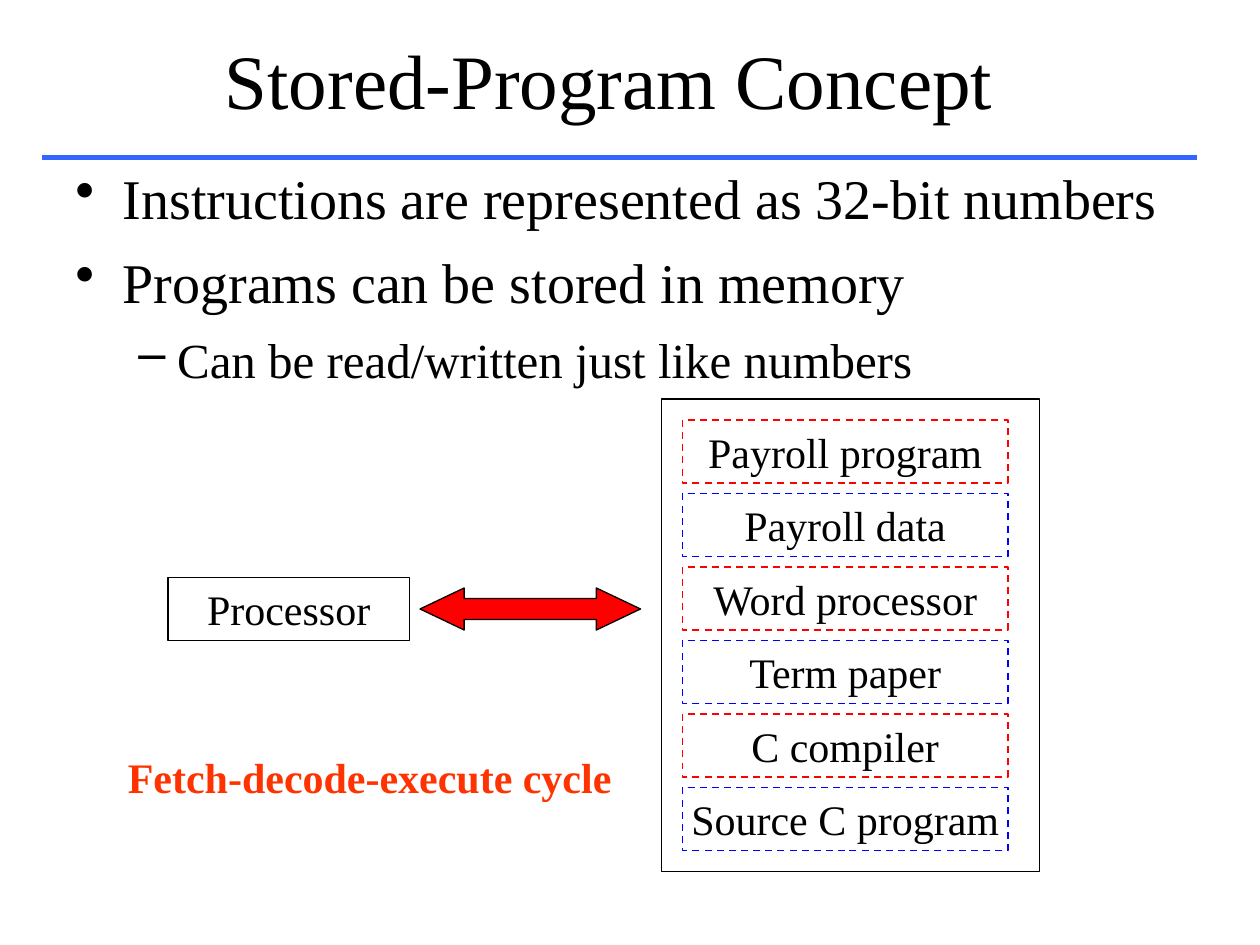
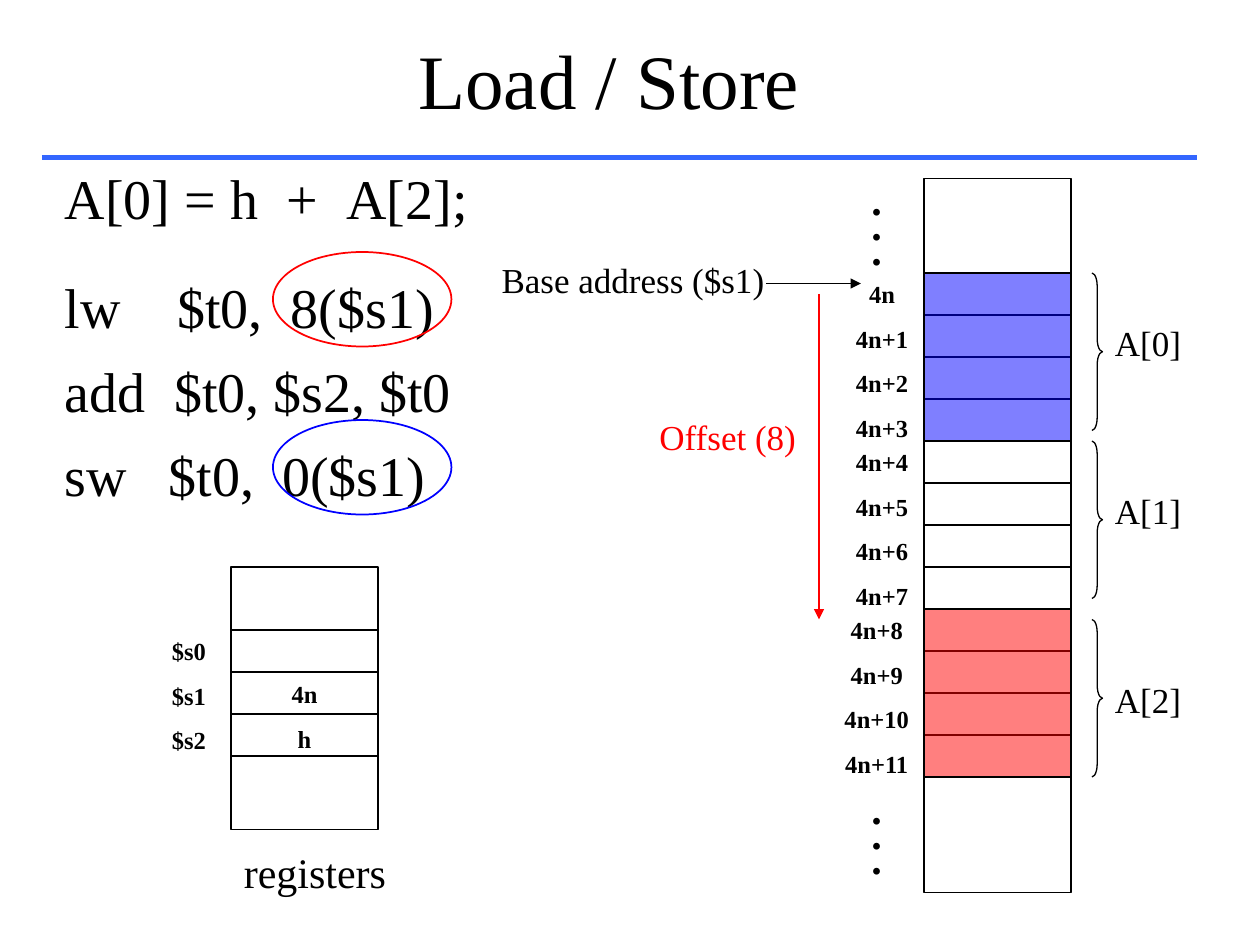
"""Build two computer-architecture slides: stored programs and load/store."""
from dataclasses import dataclass

from lxml import etree
from pptx import Presentation
from pptx import util as u
from pptx.dml.color import RGBColor
from pptx.enum import dml, shapes, text
from pptx.oxml import ns

PX = 7620


@dataclass(frozen=True)
class Theme:
    """Colours, type sizes and line widths shared by the slides."""
    font: str = "Times New Roman"
    ink: str = "000000"
    rule: str = "3366FF"
    red: str = "FF0000"
    blue: str = "0000FF"
    accent: str = "FF3300"
    title: int = 44
    body: int = 32
    sub: int = 28
    label: int = 24
    note: int = 20
    cell: int = 14
    thin: float = 0.75
    medium: float = 1
    thick: float = 3


T = Theme()
LEFT, CENTER, RIGHT = (text.PP_ALIGN.LEFT, text.PP_ALIGN.CENTER,
                       text.PP_ALIGN.RIGHT)
SHAPE = shapes.MSO_SHAPE
ROW = 40
PITCH = 41


def emu(*lengths):
    """Turn px into EMU."""
    return [u.Emu(round(length * PX)) for length in lengths]


def apply(target, values):
    """Set every attribute named in a dict of format values."""
    for name, value in values.items():
        setattr(target, name, value)


def child(parent, tag, **attributes):
    """Append a drawing element with attributes."""
    return etree.SubElement(parent, ns.qn(tag), attributes)


def write(frame, lines, size, color=T.ink, bold=False, align=CENTER,
          inset=12, anchor=text.MSO_ANCHOR.TOP, gap=0, spacing=None):
    """Fill a text frame with lines of one style."""
    side, edge = emu(inset, 6)
    apply(frame, dict(word_wrap=True, auto_size=text.MSO_AUTO_SIZE.NONE,
                      vertical_anchor=anchor, margin_left=side,
                      margin_right=side, margin_top=edge, margin_bottom=edge))
    for index, line in enumerate(lines):
        paragraph = frame.add_paragraph() if index else frame.paragraphs[0]
        apply(paragraph, dict(alignment=align, line_spacing=spacing,
                              space_before=u.Pt(gap if index else 0)))
        run = paragraph.add_run()
        run.text = line
        apply(run.font, dict(name=T.font, size=u.Pt(size), bold=bold))
        run.font.color.rgb = RGBColor.from_string(color)
    return frame.paragraphs


def add_label(slide, box, lines, size, **style):
    """Add a text box and return its paragraphs."""
    frame = slide.shapes.add_textbox(*emu(*box)).text_frame
    return write(frame, lines, size, **style)


def add_outline(slide, kind, box, color=T.ink, width=T.thin, fill=None,
                alpha=None, dash=None):
    """Add a preset shape with a line and an optional fill."""
    outline = slide.shapes.add_shape(kind, *emu(*box))
    outline.shadow.inherit = False
    if fill:
        outline.fill.solid()
        outline.fill.fore_color.rgb = RGBColor.from_string(fill)
    else:
        outline.fill.background()
    if alpha:
        tint = next(outline.fill._xPr.iter(ns.qn("a:srgbClr")))
        child(tint, "a:alpha", val=str(alpha * 1000))
    apply(outline.line, dict(width=u.Pt(width), dash_style=dash))
    outline.line.color.rgb = RGBColor.from_string(color)
    return outline


def add_line(slide, start, end, color=T.ink, width=T.thin, arrow=False):
    """Draw a straight line, with an arrowhead at its end if asked."""
    line = slide.shapes.add_connector(shapes.MSO_CONNECTOR.STRAIGHT,
                                      *emu(*start, *end))
    line.line.width = u.Pt(width)
    line.line.color.rgb = RGBColor.from_string(color)
    if arrow:
        child(line.line._ln, "a:tailEnd", type="triangle")
    child(line._element.spPr, "a:effectLst")


def start_slide(deck, heading):
    """Add a titled slide with the blue rule below its title."""
    slide = deck.slides.add_slide(deck.slide_layouts[5])
    title = slide.shapes.title
    apply(title, dict(zip(("left", "top", "width", "height"),
                          emu(70, 0, 1020, 150))))
    write(title.text_frame, [heading], T.title,
          anchor=text.MSO_ANCHOR.MIDDLE)
    add_line(slide, (40, 150), (1140, 150), T.rule, T.thick)
    return slide


def add_points(slide, box, points):
    """Add a bulleted list from (level, wording) pairs."""
    formats = (dict(mark="•", size=T.body, left=45, hang=45, gap=9.6),
               dict(mark="–", size=T.sub, left=97, hang=37, gap=8.4))
    paragraphs = add_label(slide, box, [point for _, point in points],
                           T.body, align=LEFT)
    for index, (paragraph, (level, _)) in enumerate(zip(paragraphs, points)):
        look = formats[level]
        paragraph.level = level
        paragraph.space_before = u.Pt(look["gap"] if index else 0)
        properties = paragraph._p.get_or_add_pPr()
        properties.set("marL", str(look["left"] * PX))
        properties.set("indent", str(-look["hang"] * PX))
        child(properties, "a:buChar", char=look["mark"])
        paragraph.runs[0].font.size = u.Pt(look["size"])


def add_processor(slide, box):
    """Draw the processor, its arrow to memory and the cycle caption."""
    x, y, _, _ = box
    processor = add_outline(slide, SHAPE.RECTANGLE, (x + 50, y, 230, 60))
    write(processor.text_frame, ["Processor"], T.label)
    bus = add_outline(slide, SHAPE.LEFT_RIGHT_ARROW,
                      (x + 290, y + 10, 210, 40), fill=T.red)
    bus.adjustments[0], bus.adjustments[1] = 0.5, 1.05
    add_label(slide, (x, y + 160, 490, 60), ["Fetch-decode-execute cycle"],
              T.label, color=T.accent, bold=True, align=LEFT)


def add_stored_items(slide, box, items):
    """Draw memory holding programs in red and their data in blue."""
    x, y, _, _ = box
    add_outline(slide, SHAPE.RECTANGLE, box)
    for index, item in enumerate(items):
        holder = add_outline(slide, SHAPE.RECTANGLE,
                             (x + 20, y + 20 + 70 * index, 310, 60),
                             (T.red, T.blue)[index % 2], T.medium,
                             dash=dml.MSO_LINE.DASH)
        write(holder.text_frame, [item], T.label, inset=0)


def add_code(slide, box):
    """Show the statement and its assembly, with the operands circled."""
    x, y, _, _ = box
    code = (("A[0] = h\t+\tA[2];", 0, (211, 268)),
            ("lw\t$t0,\t8($s1)", 24, (107, 215)),
            ("add\t$t0, $s2, $t0", 9.6, (104,)),
            ("sw\t$t0,\t0($s1)", 9.6, (99, 207)))
    paragraphs = add_label(slide, box, [line for line, _, _ in code],
                           T.body, align=LEFT)
    for paragraph, (_, gap, stops) in zip(paragraphs, code):
        paragraph.space_before = u.Pt(gap)
        tabs = child(paragraph._p.get_or_add_pPr(), "a:tabLst")
        for stop in stops:
            child(tabs, "a:tab", pos=str(stop * PX), algn="l")
    for top, color in ((90, T.red), (250, T.blue)):
        add_outline(slide, SHAPE.OVAL, (x + 210, y + top, 170, 90),
                    color, T.medium)


def add_cells(slide, box, first, count):
    """Draw a column split by evenly spaced lines, from a first offset."""
    x, y, width, _ = box
    add_outline(slide, SHAPE.RECTANGLE, box)
    for index in range(count):
        level = y + first + ROW * index
        add_line(slide, (x, level), (x + width, level))


def add_cell_text(slide, box, lines):
    """Add bold labels that step down with the cells."""
    add_label(slide, box, lines, T.cell, bold=True, gap=8.66)


def add_memory(slide, box):
    """Draw byte-addressed memory grouped into three array words."""
    x, y, width, _ = box
    add_cells(slide, box, 90, 13)
    words = ((T.blue, 80, 0, 130), (None, 80, 0, 130), (T.red, 90, 10, 130))
    for word, (fill, reach, drop, name_drop) in enumerate(words):
        top = y + 90 + 4 * ROW * word
        if fill:
            add_outline(slide, SHAPE.RECTANGLE, (x, top, width, 4 * ROW),
                        fill=fill, alpha=50)
        addresses = [f"4n+{byte}" if byte else "4n"
                     for byte in range(4 * word, 4 * word + 4)]
        add_cell_text(slide, (x - reach, top, reach, 163), addresses)
        brace = add_outline(slide, SHAPE.RIGHT_BRACE,
                            (x + width + 20, top + drop, 10, 150))
        brace.adjustments[0] = 1.25
        add_label(slide, (x + width + 30, top + 40 + 2 * drop, 90, 53),
                  [f"A[{word}]"], T.note, align=LEFT)
    for top in (10, 590):
        add_label(slide, (x - 80, y + top, 70, 84), ["."] * 3, T.label,
                  bold=True, spacing=0.5)


def add_addressing(slide, box):
    """Mark the base address and the offset from it."""
    x, y, _, _ = box
    add_label(slide, (x, y, 290, 53), ["Base address ($s1)"], T.note,
              align=RIGHT)
    add_line(slide, (x + 280, y + 30), (x + 370, y + 30), arrow=True)
    add_label(slide, (x + 30, y + 150, 290, 53), ["Offset (8)"], T.note,
              color=T.red, align=RIGHT)
    add_line(slide, (x + 330, y + 40), (x + 330, y + 350), T.red, arrow=True)


def add_registers(slide, box):
    """Draw the register file with its names and values."""
    x, y, width, height = box
    add_cells(slide, box, 60, 4)
    add_cell_text(slide, (x - 80, y + 60, 80, 122), ["$s0", "$s1", "$s2"])
    add_cell_text(slide, (x + 30, y + 60 + PITCH, 80, 82), ["4n", "h"])
    add_label(slide, (x - 40, y + height + 10, 240, 60), ["registers"],
              T.label)


def build_stored_program(deck):
    """Build the slide on programs held in memory."""
    slide = start_slide(deck, "Stored-Program Concept")
    add_points(slide, (60, 150, 1080, 240), (
        (0, "Instructions are represented as 32-bit numbers"),
        (0, "Programs can be stored in memory"),
        (1, "Can be read/written just like numbers")))
    add_processor(slide, (110, 550, 500, 220))
    add_stored_items(slide, (630, 380, 360, 450), (
        "Payroll program", "Payroll data", "Word processor", "Term paper",
        "C compiler", "Source C program"))


def build_load_store(deck):
    """Build the slide on loading and storing array elements."""
    slide = start_slide(deck, "Load / Store")
    add_code(slide, (50, 150, 500, 360))
    add_memory(slide, (880, 170, 140, 680))
    add_addressing(slide, (450, 240, 370, 350))
    add_registers(slide, (220, 540, 140, 250))


def main():
    """Build and save the deck."""
    deck = Presentation()
    deck.slide_width, deck.slide_height = emu(1200, 900)
    build_stored_program(deck)
    build_load_store(deck)
    deck.save("out.pptx")


if __name__ == "__main__":
    main()
